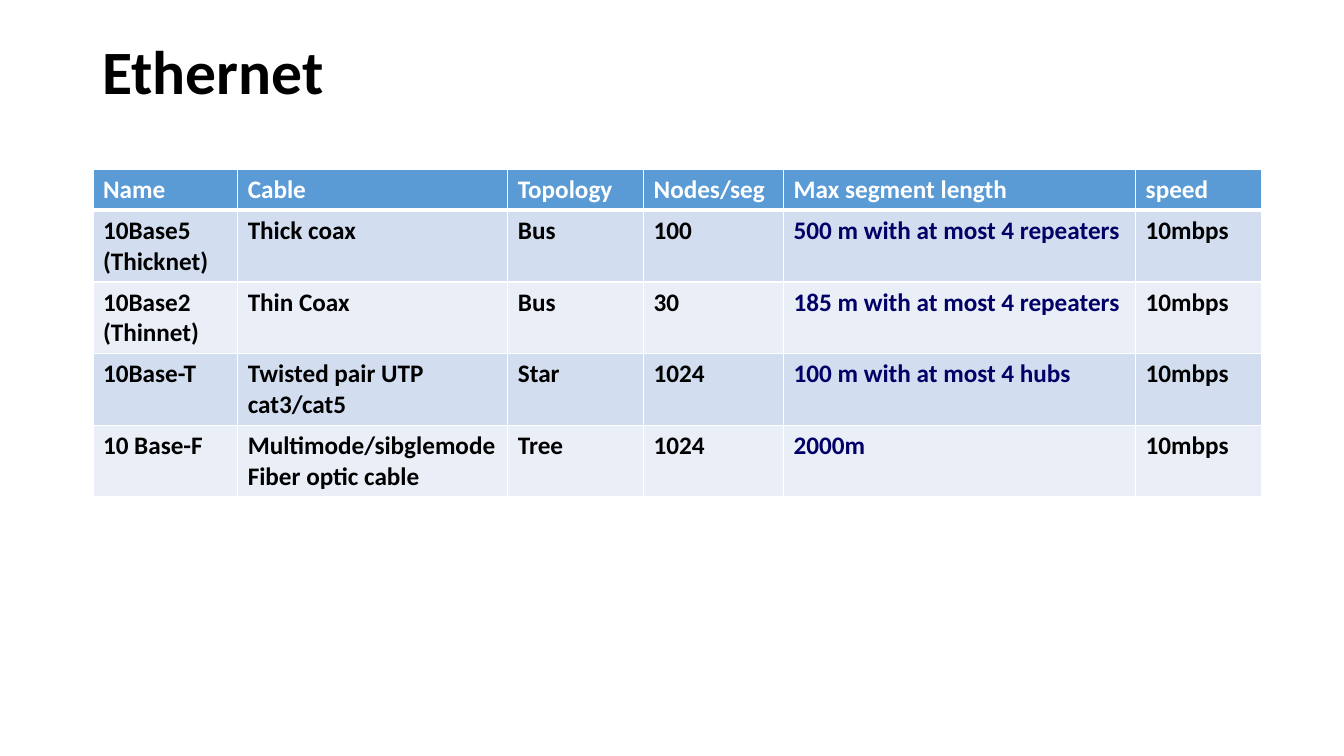
from lxml import etree
from pptx import Presentation
from pptx.dml.color import RGBColor
from pptx.enum.text import MSO_ANCHOR
from pptx.oxml.ns import qn
from pptx.util import Pt

MIDDLE = MSO_ANCHOR.MIDDLE
WHITE, BLACK, NAVY = "FFFFFF", "000000", "000066"
HEADER_FILL, BAND_FILLS = "5B9BD5", ("D2DEEF", "EAEFF7")
LENGTH_COLUMN = 4
COLUMN_WIDTHS = (103.4, 193, 97, 100, 251.5, 90)
ROW_HEIGHTS = (29.2, 51.2, 51.2, 51.2, 51.2)
ROWS = (
    ("Name", "Cable", "Topology", "Nodes/seg", "Max segment length", "speed"),
    ("10Base5\n(Thicknet)", "Thick coax", "Bus", "100",
     "500 m with at most 4 repeaters", "10mbps"),
    ("10Base2\n(Thinnet)", "Thin Coax", "Bus", "30",
     "185 m with at most 4 repeaters", "10mbps"),
    ("10Base-T", "Twisted pair UTP cat3/cat5", "Star", "1024",
     "100 m with at most 4 hubs", "10mbps"),
    ("10 Base-F", "Multimode/sibglemode Fiber optic cable", "Tree", "1024",
     "2000m", "10mbps"),
)


def color(value):
    return RGBColor.from_string(value)


def write_text(text_frame, text, size, text_color):
    text_frame.text = text
    for paragraph in text_frame.paragraphs:
        font = paragraph.runs[0].font
        values = {"name": "Calibri", "size": Pt(size), "bold": True}
        for name, value in values.items():
            setattr(font, name, value)
        font.color.rgb = color(text_color)


presentation = Presentation()
presentation.slide_width, presentation.slide_height = Pt(960), Pt(540)
slide = presentation.slides.add_slide(presentation.slide_layouts[6])

# Title
title = slide.shapes.add_textbox(Pt(66), Pt(0.75), Pt(828), Pt(104.4))
title.text_frame.word_wrap = True
title.text_frame.vertical_anchor = MIDDLE
write_text(title.text_frame, "Ethernet", 44, BLACK)
title.text_frame.paragraphs[0].line_spacing = 0.9

# Table of Ethernet types
frame = slide.shapes.add_table(len(ROWS), len(COLUMN_WIDTHS), Pt(66.4), Pt(121),
                               Pt(sum(COLUMN_WIDTHS)), Pt(sum(ROW_HEIGHTS)))
table = frame.table
for column, width in zip(table.columns, COLUMN_WIDTHS):
    column.width = Pt(width)
for row, height in zip(table.rows, ROW_HEIGHTS):
    row.height = Pt(height)

for row_index, texts in enumerate(ROWS):
    is_header = row_index == 0
    fill = HEADER_FILL if is_header else BAND_FILLS[(row_index - 1) % 2]
    for column_index, text in enumerate(texts):
        cell = table.cell(row_index, column_index)
        if is_header:
            text_color = WHITE
        else:
            text_color = NAVY if column_index == LENGTH_COLUMN else BLACK
        write_text(cell.text_frame, text, 18, text_color)
        cell.fill.solid()
        cell.fill.fore_color.rgb = color(fill)

        # White borders, thicker between the header and the body
        borders = {"a:lnL": 1, "a:lnR": 1,
                   "a:lnT": 3 if row_index == 1 else 1,
                   "a:lnB": 3 if is_header else 1}
        properties = cell._tc.get_or_add_tcPr()
        for position, (tag, width) in enumerate(borders.items()):
            line = etree.Element(qn(tag), w=str(Pt(width)))
            line_fill = etree.SubElement(line, qn("a:solidFill"))
            etree.SubElement(line_fill, qn("a:srgbClr"), val=WHITE)
            properties.insert(position, line)

presentation.save("out.pptx")
